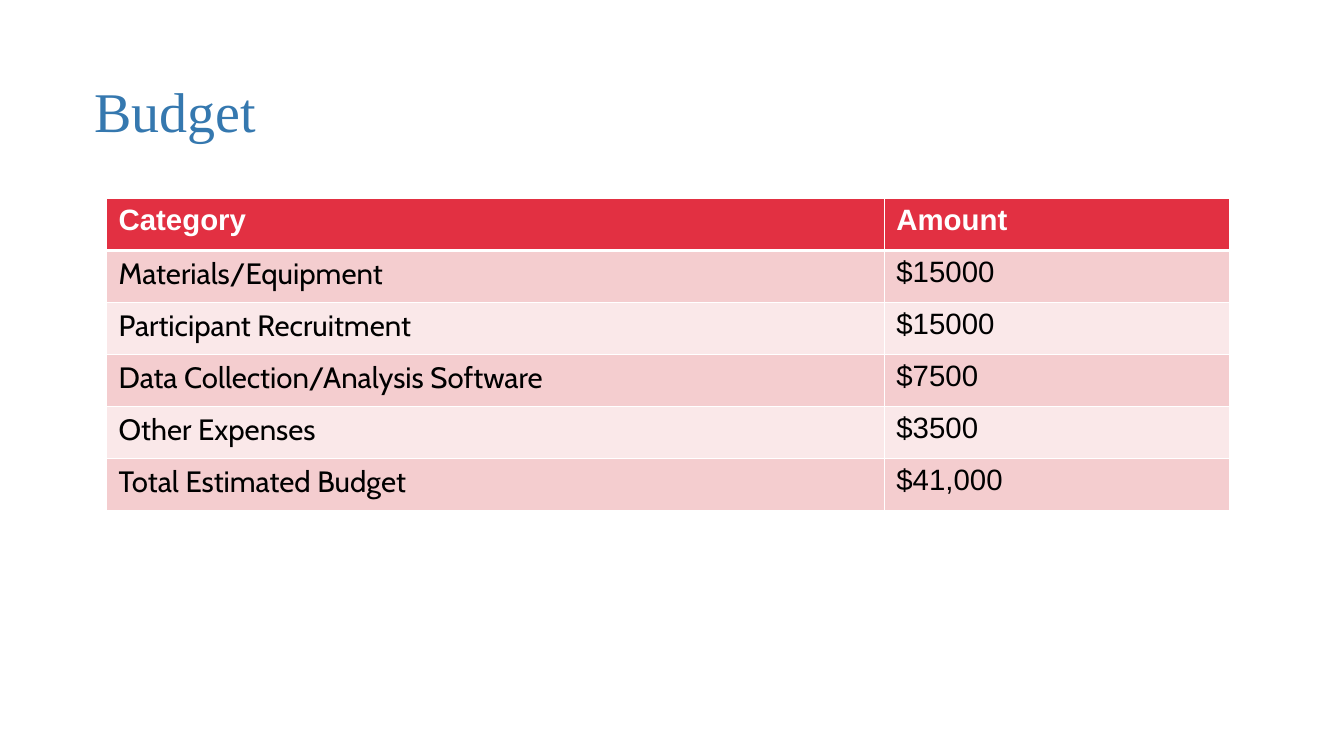
from lxml import etree
from pptx import Presentation
from pptx import util as u
from pptx.dml.color import RGBColor
from pptx.enum import text
from pptx.oxml import ns

COLORS = {
    "title": "3578AF",
    "header": "E23042",
    "odd": "F4CDCF",
    "even": "FAE8E9",
    "white": "FFFFFF",
    "black": "000000",
}

BUDGET = [
    ("Category", "Amount"),
    ("Materials/Equipment", "$15000"),
    ("Participant Recruitment", "$15000"),
    ("Data Collection/Analysis Software", "$7500"),
    ("Other Expenses", "$3500"),
    ("Total Estimated Budget", "$41,000"),
]


def write(frame, words, font, size, color, bold=False, **para_format):
    """Put one formatted span in a frame; extra keywords set the paragraph."""
    para = frame.paragraphs[0]
    for name, value in para_format.items():
        setattr(para, name, value)
    span = para.add_run()
    span.text = words
    span.font.name = font
    span.font.size = u.Pt(size)
    span.font.bold = bold
    span.font.color.rgb = RGBColor.from_string(COLORS[color])


def add_border(cell, side, points):
    """Draw a white line on one side (L, R, T or B); call before filling."""
    properties = cell._tc.get_or_add_tcPr()
    line = etree.SubElement(properties, ns.qn(f"a:ln{side}"), w=str(u.Pt(points)))
    fill = etree.SubElement(line, ns.qn("a:solidFill"))
    etree.SubElement(fill, ns.qn("a:srgbClr"), val=COLORS["white"])


class BudgetPage:
    """Holds the table style and the current slide."""

    text_size = 21
    row_height = u.Cm(1.31)
    margin_x, margin_y = u.Cm(0.3), u.Cm(0.15)

    def __init__(self, deck):
        self.page = deck.slides.add_slide(deck.slide_layouts[5])

    def title(self, words, left, top, width, height):
        box = self.page.shapes.title
        box.left, box.top, box.width, box.height = left, top, width, height
        frame = box.text_frame
        frame.vertical_anchor = text.MSO_ANCHOR.MIDDLE
        write(frame, words, "Times New Roman", 40, "title",
              alignment=text.PP_ALIGN.LEFT, line_spacing=0.9)

    def table(self, rows, left, top, widths):
        grid = self.page.shapes.add_table(
            len(rows), len(widths), left, top,
            sum(widths), self.row_height * len(rows)).table
        for column, width in zip(grid.columns, widths):
            column.width = width
        for r, row in enumerate(rows):
            grid.rows[r].height = self.row_height
            for c, words in enumerate(row):
                self.cell(grid.cell(r, c), words, r, c)

    def cell(self, cell, words, r, c):
        is_header = r == 0
        cell.margin_left = cell.margin_right = self.margin_x
        cell.margin_top = cell.margin_bottom = self.margin_y
        thick_side = {0: "B", 1: "T"}.get(r)
        for side in "LRTB":
            add_border(cell, side, 3 if side == thick_side else 1)
        cell.fill.solid()
        band = "header" if is_header else "odd" if r % 2 else "even"
        cell.fill.fore_color.rgb = RGBColor.from_string(COLORS[band])
        write(cell.text_frame, words,
              "Arial" if is_header or c == 1 else "Cabin", self.text_size,
              "white" if is_header else "black", bold=is_header)


def main():
    deck = Presentation()
    deck.slide_width, deck.slide_height = u.Cm(33.87), u.Cm(19.05)
    budget = BudgetPage(deck)
    budget.title("Budget", u.Cm(2.12), u.Cm(1.98), u.Cm(29.41), u.Cm(1.8))
    budget.table(BUDGET, u.Cm(2.69), u.Cm(5), [u.Cm(19.6), u.Cm(8.7)])
    deck.save("out.pptx")


if __name__ == "__main__":
    main()
